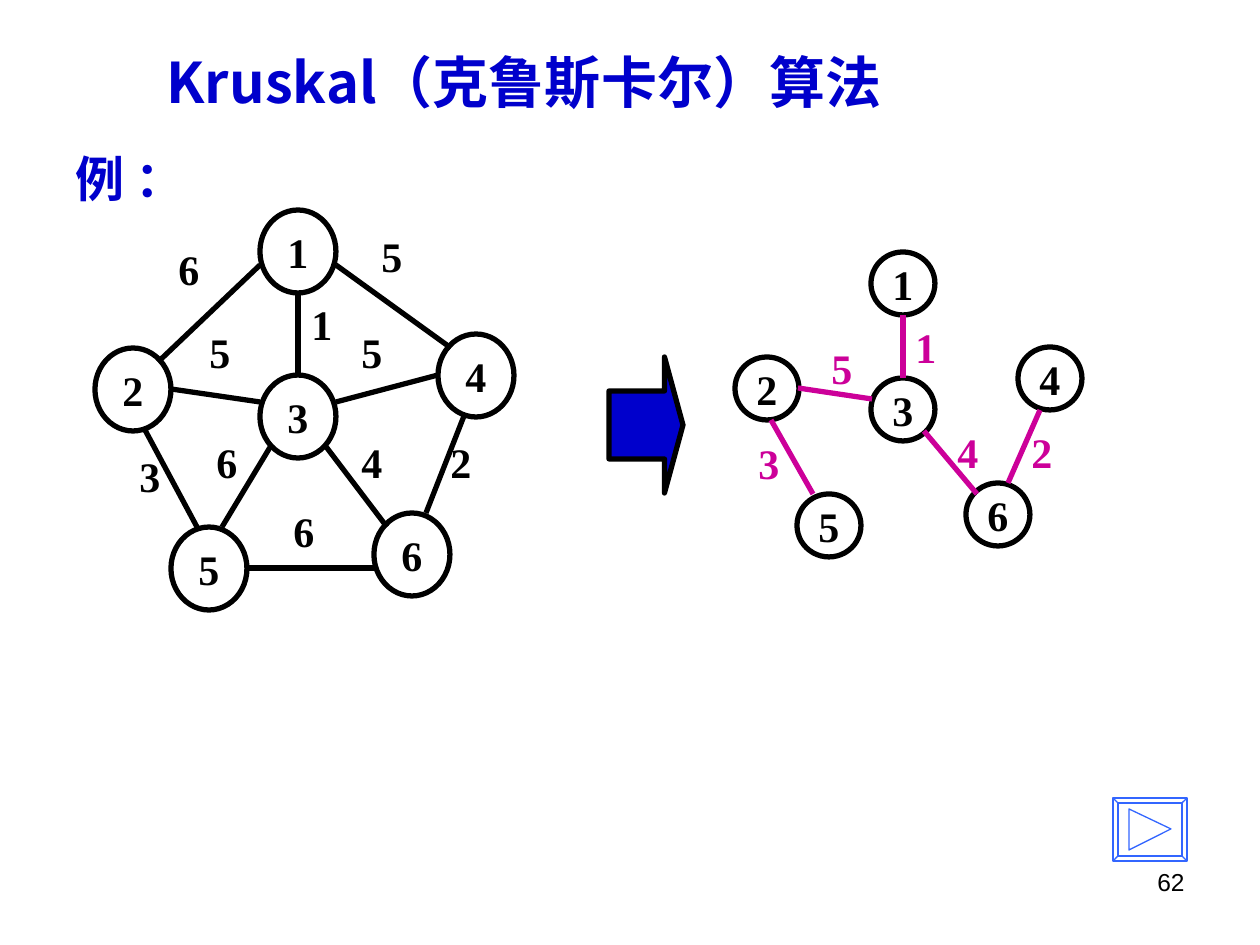
from dataclasses import dataclass

from lxml import etree
from pptx import Presentation
from pptx.dml.color import RGBColor
from pptx.enum.shapes import MSO_CONNECTOR, MSO_SHAPE
from pptx.enum.text import MSO_ANCHOR, MSO_AUTO_SIZE, PP_ALIGN
from pptx.oxml.ns import qn
from pptx.util import Emu, Inches, Pt

OVAL, ARROW = MSO_SHAPE.OVAL, MSO_SHAPE.RIGHT_ARROW
STRAIGHT = MSO_CONNECTOR.STRAIGHT
LEFT, CENTER, RIGHT = PP_ALIGN.LEFT, PP_ALIGN.CENTER, PP_ALIGN.RIGHT
TOP, MIDDLE = MSO_ANCHOR.TOP, MSO_ANCHOR.MIDDLE
NO_FIT = MSO_AUTO_SIZE.NONE
SCALE = Inches(1) / 126  # EMU per px


@dataclass(frozen=True)
class Theme:
    blue: str = "0000CC"
    black: str = "000000"
    magenta: str = "CC0099"
    button: str = "3366FF"
    serif: str = "Times New Roman"
    sans: str = "Arial"
    cjk: str = "Noto Sans CJK SC"
    title: int = 32
    heading: int = 28
    label: int = 24
    number: int = 14
    stroke: float = 3
    hairline: float = 0.75


THEME = Theme()


def px(*values):
    return [Emu(round(v * SCALE)) for v in values]


def write(tf, text, size=THEME.label, color=THEME.black, font=THEME.serif,
          bold=True, align=LEFT, anchor=TOP, wrap=False):
    tf.word_wrap = wrap
    tf.auto_size = NO_FIT
    tf.vertical_anchor = anchor
    p = tf.paragraphs[0]
    p.alignment = align
    r = p.add_run()
    r.text = text
    r.font.size, r.font.bold, r.font.name = Pt(size), bold, font
    r.font.color.rgb = RGBColor.from_string(color)
    ea = etree.SubElement(r.font._element, qn("a:ea"))
    ea.set("typeface", THEME.cjk)


class SlideBuilder:
    def __init__(self, slide, theme):
        self.slide, self.theme = slide, theme
        self.shapes = slide.shapes

    def outline(self, sp, color, width):
        sp.line.color.rgb = RGBColor.from_string(color)
        sp.line.width = Pt(width)

    def title(self, text, box):
        sp = self.shapes.title
        sp.left, sp.top, sp.width, sp.height = px(*box)
        write(sp.text_frame, text, size=self.theme.title, color=self.theme.blue,
              font=self.theme.cjk, anchor=MIDDLE, wrap=True)

    def text(self, text, box, **fmt):
        sp = self.shapes.add_textbox(*px(*box))
        write(sp.text_frame, text, **fmt)

    def shape(self, kind, box, fill=None):
        sp = self.shapes.add_shape(kind, *px(*box))
        sp.shadow.inherit = False
        if fill:
            sp.fill.solid()
            sp.fill.fore_color.rgb = RGBColor.from_string(fill)
        else:
            sp.fill.background()
        self.outline(sp, self.theme.black, self.theme.stroke)
        return sp

    def node(self, name, box):
        sp = self.shape(OVAL, box)
        write(sp.text_frame, name, align=CENTER, anchor=MIDDLE)
        return sp

    def edge(self, start, end, color):
        cx = self.shapes.add_connector(STRAIGHT, *px(*start, *end))
        self.outline(cx, color, self.theme.stroke)
        etree.SubElement(cx._element.spPr, qn("a:effectLst"))
        return cx

    def graph(self, nodes, size, edges, color):
        ovals = {name: self.node(name, (*at, *size)) for name, at in nodes.items()}
        for _, target, start, end, _, _ in edges:
            cx = self.edge(start, end, color)
            x, y = nodes[target]
            if end == (x + size[0] // 2, y):
                cx.end_connect(ovals[target], 0)
        for _, _, _, _, weight, at in edges:
            self.text(weight, (*at, 45, 63), color=color)

    def play_button(self, x, y, w, h, bevel):
        def corners(d):
            return [(x + d, y + d), (x + w - d, y + d),
                    (x + w - d, y + h - d), (x + d, y + h - d)]

        outer, inner = corners(0), corners(bevel)
        triangle = [(x + 16, y + 11), (x + 58, y + 31), (x + 16, y + 52)]
        fb = self.shapes.build_freeform(*outer[0], scale=SCALE)
        fb.add_line_segments(outer[1:], close=True)
        for contour in (inner, triangle):
            fb.move_to(*contour[0])
            fb.add_line_segments(contour[1:], close=True)
        for a, b in zip(outer, inner):
            fb.move_to(*a)
            fb.add_line_segments([b], close=False)
        sp = fb.convert_to_shape()
        sp.shadow.inherit = False
        sp.fill.background()
        self.outline(sp, self.theme.button, self.theme.hairline)


# Nodes: left, top. Edges: from, to, start, end, weight, label position.
GRAPH_NODES = {"1": (260, 210), "4": (438, 334), "6": (374, 513),
               "5": (171, 527), "2": (95, 348), "3": (260, 375)}
GRAPH_EDGES = [
    ("1", "2", (260, 265), (158, 362), "6", (166, 237)),
    ("2", "5", (145, 430), (197, 527), "3", (127, 444)),
    ("5", "6", (247, 568), (374, 568), "6", (281, 499)),
    ("4", "6", (464, 416), (426, 513), "2", (438, 430)),
    ("1", "4", (336, 265), (451, 348), "5", (369, 224)),
    ("1", "3", (298, 292), (298, 375), "1", (299, 292)),
    ("3", "5", (272, 444), (222, 527), "6", (204, 430)),
    ("3", "6", (324, 444), (387, 527), "4", (349, 430)),
    ("3", "4", (336, 402), (438, 375), "5", (349, 320)),
    ("2", "3", (171, 389), (260, 402), "5", (197, 320)),
]
TREE_NODES = {"1": (871, 252), "3": (871, 378), "5": (797, 494),
              "2": (735, 357), "4": (1018, 347), "6": (966, 483)}
TREE_EDGES = [
    ("1", "3", (903, 315), (903, 378), "1", (903, 315)),
    ("2", "3", (798, 388), (872, 399), "5", (819, 336)),
    ("3", "6", (924, 431), (977, 494), "4", (945, 420)),
    ("2", "5", (771, 420), (813, 494), "3", (746, 431)),
    ("4", "6", (1040, 410), (1008, 483), "2", (1019, 420)),
]


def main():
    prs = Presentation()
    prs.slide_width, prs.slide_height = px(1260, 945)
    s = SlideBuilder(prs.slides.add_slide(prs.slide_layouts[5]), THEME)

    # Headings
    s.title("Kruskal（克鲁斯卡尔）算法", (154, 55, 829, 53))
    s.text("例 ：", (63, 136, 190, 84), size=THEME.heading, color=THEME.blue,
           anchor=MIDDLE, wrap=True)

    # Weighted graph, arrow and its minimum spanning tree
    s.graph(GRAPH_NODES, (76, 83), GRAPH_EDGES, THEME.black)
    arrow = s.shape(ARROW, (609, 357, 74, 136), fill=THEME.blue)
    arrow.adjustments[0], arrow.adjustments[1] = 0.5, 0.25
    s.graph(TREE_NODES, (64, 63), TREE_EDGES, THEME.magenta)

    # Button and slide number
    s.play_button(1113, 798, 74, 63, bevel=5)
    s.text("62", (903, 861, 294, 66), size=THEME.number, font=THEME.sans,
           bold=False, align=RIGHT, wrap=True)

    prs.save("out.pptx")


if __name__ == "__main__":
    main()
